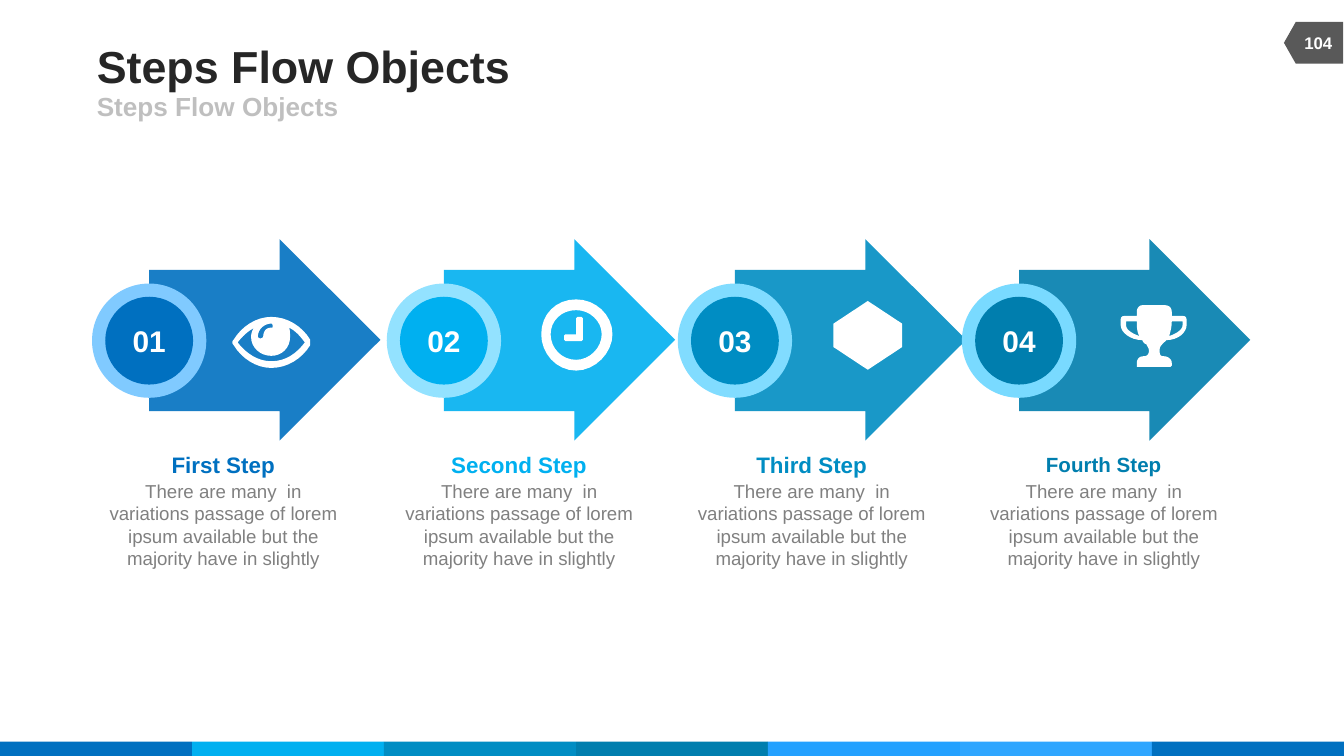
from lxml.etree import SubElement
from pptx import Presentation
from pptx.dml.color import RGBColor
from pptx.enum.shapes import MSO_SHAPE, MSO_SHAPE_TYPE
from pptx.enum.text import MSO_ANCHOR, PP_ALIGN
from pptx.oxml.ns import qn
from pptx.util import Cm, Pt

BLUE = RGBColor(0x00, 0x70, 0xC0)
SKY = RGBColor(0x00, 0xB0, 0xF0)
OCEAN = RGBColor(0x00, 0x8D, 0xC3)
TEAL = RGBColor(0x00, 0x7E, 0xAE)
AZURE = RGBColor(0x23, 0xA1, 0xFF)
LIGHT_AZURE = RGBColor(0x2F, 0xA6, 0xFF)
BLUE_RING = RGBColor(0x80, 0xCA, 0xFF)
SKY_RING = RGBColor(0x93, 0xE2, 0xFF)
OCEAN_RING = RGBColor(0x81, 0xDC, 0xFF)
TEAL_RING = RGBColor(0x79, 0xDA, 0xFF)
WHITE = RGBColor(0xFF, 0xFF, 0xFF)
INK = RGBColor(0x26, 0x26, 0x26)
DARK_GRAY = RGBColor(0x59, 0x59, 0x59)
GRAY = RGBColor(0x80, 0x80, 0x80)
PALE_GRAY = RGBColor(0xBF, 0xBF, 0xBF)

# Outlines are lists of contours in hundredths of an inch:
# two numbers make a line, six make a cubic curve
OUTLINE_UNIT = Cm(2.54) / 100
CURVE_STEPS = 8

ARROW = [[(0, 23), (97, 23), (97, 0), (172, 75), (97, 150), (97, 128), (0, 128)]]
EYE = [
    [(58, 21), (52, 31, 41, 38, 29, 38), (18, 38, 7, 31, 1, 21), (1, 21, 0, 20, 0, 19),
     (0, 18, 1, 17, 1, 17), (7, 7, 18, 0, 29, 0), (41, 0, 52, 7, 58, 17),
     (58, 17, 58, 18, 58, 19)],
    [(42, 8), (43, 9, 43, 12, 43, 15), (43, 23, 37, 29, 29, 29), (21, 29, 14, 23, 14, 15),
     (14, 12, 15, 9, 17, 8), (12, 10, 7, 15, 4, 19), (10, 27, 19, 33, 29, 33),
     (40, 33, 48, 27, 54, 19), (51, 15, 47, 10, 42, 8)],
    [(29, 5), (24, 5, 19, 9, 19, 15), (19, 15, 20, 16, 21, 16), (22, 16, 23, 15, 23, 15),
     (23, 11, 25, 8, 29, 8), (30, 8, 30, 8, 30, 7), (30, 6, 30, 5, 29, 5)],
]
CLOCK = [
    [(26, 53), (11, 53, 0, 40, 0, 26), (0, 11, 11, 0, 26, 0),
     (40, 0, 53, 11, 53, 26), (53, 40, 40, 53, 26, 53)],
    [(26, 8), (15, 8, 7, 16, 7, 26), (7, 36, 15, 45, 26, 45),
     (36, 45, 45, 36, 45, 26), (45, 16, 36, 8, 26, 8)],
    [(31, 30), (30, 31), (18, 31), (17, 30), (17, 27), (18, 26), (26, 26),
     (26, 14), (27, 13), (30, 13), (31, 14)],
]
TROPHY = [
    [(49, 15), (49, 20, 43, 26, 34, 26), (32, 28, 31, 29, 31, 29), (29, 31, 29, 32, 29, 34),
     (29, 36, 29, 38, 32, 38), (35, 38, 38, 40, 38, 43), (38, 45), (37, 46), (12, 46),
     (12, 43), (12, 40, 14, 38, 17, 38), (20, 38, 21, 36, 21, 34),
     (21, 32, 20, 31, 19, 29), (18, 29, 17, 28, 16, 26), (7, 26, 0, 20, 0, 15), (0, 11),
     (0, 9, 1, 8, 3, 8), (12, 8), (12, 5), (12, 2, 14, 0, 16, 0), (33, 0),
     (36, 0, 38, 2, 38, 5), (38, 8), (46, 8), (48, 8, 49, 9, 49, 11)],
    [(12, 12), (4, 12), (4, 15), (4, 18, 8, 21, 14, 23), (12, 20, 12, 16, 12, 12)],
    [(38, 12), (38, 16, 37, 20, 36, 23), (42, 21, 46, 18, 46, 15), (46, 12)],
]

presentation = Presentation()
presentation.slide_width = Cm(25.4)
presentation.slide_height = Cm(14.29)
slide = presentation.slides.add_slide(presentation.slide_layouts[6])
shapes = slide.shapes


def draw_outline(contours, left, top, color):
    builder = None
    for contour in contours:
        points = [contour[0]]
        for segment in contour[1:]:
            if len(segment) == 2:
                points.append(segment)
                continue
            x0, y0 = points[-1]
            x1, y1, x2, y2, x3, y3 = segment
            for step in range(1, CURVE_STEPS + 1):
                t = step / CURVE_STEPS
                u = 1 - t
                a, b, c, d = u**3, 3 * u * u * t, 3 * u * t * t, t**3
                points.append((a * x0 + b * x1 + c * x2 + d * x3,
                               a * y0 + b * y1 + c * y2 + d * y3))
        points = [(x * OUTLINE_UNIT, y * OUTLINE_UNIT) for x, y in points]
        if builder is None:
            builder = shapes.build_freeform(*points[0])
        else:
            builder.move_to(*points[0])
        builder.add_line_segments(points[1:], close=True)
    shape = builder.convert_to_shape(Cm(left), Cm(top))
    shape.fill.solid()
    shape.fill.fore_color.rgb = color
    return shape


def write_text(shape, text, size, color, bold=True, align=PP_ALIGN.CENTER,
               anchor=MSO_ANCHOR.MIDDLE):
    frame = shape.text_frame
    frame.word_wrap = True
    frame.margin_left = frame.margin_right = frame.margin_top = frame.margin_bottom = 0
    frame.vertical_anchor = anchor
    paragraph = frame.paragraphs[0]
    paragraph.text = text
    paragraph.alignment = align
    paragraph.font.name = "Arial"
    paragraph.font.size = Pt(size)
    paragraph.font.bold = bold
    paragraph.font.color.rgb = color


# Colour strip along the bottom
strip_colors = [BLUE, SKY, OCEAN, TEAL, AZURE, LIGHT_AZURE, BLUE]
strip_width = 25.4 / len(strip_colors)
for index, color in enumerate(strip_colors):
    segment = shapes.add_shape(MSO_SHAPE.RECTANGLE, Cm(index * strip_width), Cm(14.02),
                               Cm(strip_width), Cm(0.27))
    segment.fill.solid()
    segment.fill.fore_color.rgb = color

# Page number badge
badge = shapes.add_shape(MSO_SHAPE.FLOWCHART_OFFPAGE_CONNECTOR,
                         Cm(24.43), Cm(0.25), Cm(0.79), Cm(1.12))
badge.rotation = 90
badge.fill.solid()
badge.fill.fore_color.rgb = DARK_GRAY
page_number = shapes.add_textbox(Cm(24.38), Cm(0.43), Cm(1.07), Cm(0.76))
write_text(page_number, "104", 9, WHITE)

# Title and subtitle
title = shapes.add_textbox(Cm(1.83), Cm(0.74), Cm(15.67), Cm(0.99))
write_text(title, "Steps Flow Objects", 24, INK, align=PP_ALIGN.LEFT)
subtitle = shapes.add_textbox(Cm(1.83), Cm(1.73), Cm(11.43), Cm(0.56))
write_text(subtitle, "Steps Flow Objects", 14, PALE_GRAY, align=PP_ALIGN.LEFT)

# Steps: arrow left, caption centre, heading, heading size, colour, ring colour
steps = [
    (2.82, 4.22, "First Step", 12, BLUE, BLUE_RING),
    (8.39, 9.81, "Second Step", 12, SKY, SKY_RING),
    (13.89, 15.34, "Third Step", 12, OCEAN, OCEAN_RING),
    (19.26, 20.86, "Fourth Step", 11, TEAL, TEAL_RING),
]
description = ("There are many  in variations passage of lorem ipsum available "
               "but the majority have in slightly")
circle_middle = 6.44
caption_width = 4.4

for number, (left, center, heading, size, color, ring_color) in enumerate(steps, 1):
    arrow = draw_outline(ARROW, left, 4.52, color)
    arrow_color = arrow.fill._xPr.find(qn("a:solidFill"))[0]
    SubElement(arrow_color, qn("a:alpha"), val="90000")

    # Numbered circle centred on the arrow's tail
    for diameter, circle_color in ((2.16, ring_color), (1.66, color)):
        circle = shapes.add_shape(MSO_SHAPE.OVAL, Cm(left - diameter / 2),
                                  Cm(circle_middle - diameter / 2),
                                  Cm(diameter), Cm(diameter))
        circle.fill.solid()
        circle.fill.fore_color.rgb = circle_color
    write_text(circle, f"{number:02}", 16, WHITE)

    # Caption
    caption_left = Cm(center - caption_width / 2)
    heading_box = shapes.add_textbox(caption_left, Cm(8.53), Cm(caption_width), Cm(0.51))
    write_text(heading_box, heading, size, color)
    body_box = shapes.add_textbox(caption_left, Cm(9.07), Cm(caption_width), Cm(1.7))
    write_text(body_box, description, 10, GRAY, bold=False, anchor=MSO_ANCHOR.TOP)

# Icons
draw_outline(EYE, 4.39, 5.99, WHITE)
draw_outline(CLOCK, 10.23, 5.66, WHITE)
hexagon = shapes.add_shape(MSO_SHAPE.HEXAGON, Cm(15.75), Cm(5.69), Cm(1.3), Cm(1.3))
hexagon.rotation = 90
hexagon.adjustments[0] = 0.33
hexagon.fill.solid()
hexagon.fill.fore_color.rgb = WHITE
draw_outline(TROPHY, 21.18, 5.77, WHITE)

# Flat look: no outlines or shadows
for shape in shapes:
    if shape.shape_type != MSO_SHAPE_TYPE.TEXT_BOX:
        shape.line.fill.background()
        shape.shadow.inherit = False

presentation.save("out.pptx")
